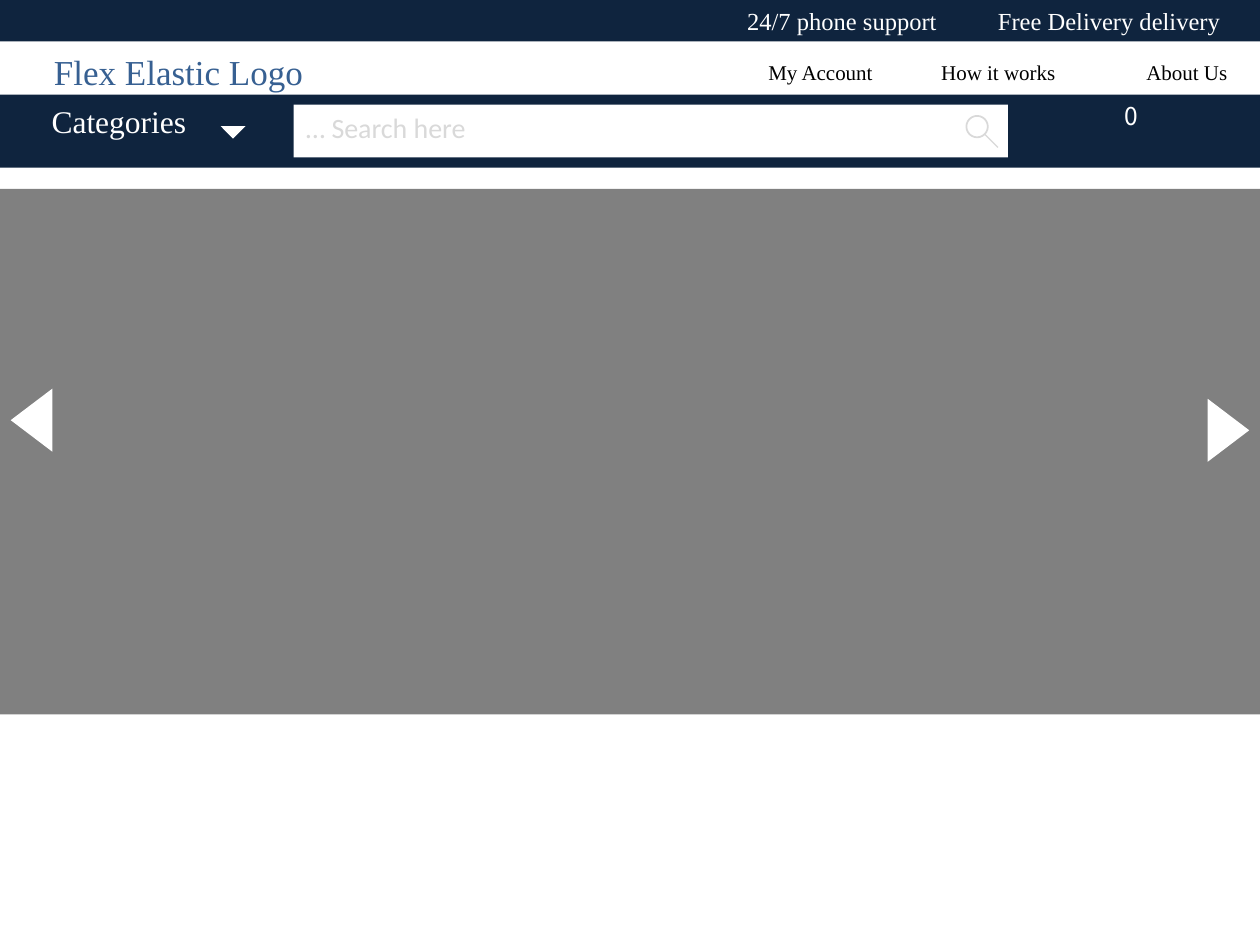
from lxml import etree
from pptx import Presentation
from pptx.dml.color import RGBColor
from pptx.enum.shapes import MSO_CONNECTOR, MSO_SHAPE
from pptx.enum.text import MSO_AUTO_SIZE
from pptx.oxml.ns import qn
from pptx.util import Inches, Pt

RECTANGLE = MSO_SHAPE.RECTANGLE
TRIANGLE = MSO_SHAPE.ISOSCELES_TRIANGLE
MERGE = MSO_SHAPE.FLOWCHART_MERGE
OVAL = MSO_SHAPE.OVAL
STRAIGHT = MSO_CONNECTOR.STRAIGHT
FIT_SHAPE = MSO_AUTO_SIZE.SHAPE_TO_FIT_TEXT

NAVY, WHITE, BLACK = "0F243E", "FFFFFF", "000000"
BLUE, GREY, PALE = "376092", "808080", "D9D9D9"
SERIF, SANS, CJK = "Times New Roman", "Calibri", "Noto Sans CJK SC"


def color(value):
    """Turn a hex string into a colour."""
    return RGBColor.from_string(value)


def add_block(shapes, kind, box, fill, rotation=0):
    """Add a filled preset shape without outline."""
    shape = shapes.add_shape(kind, *map(Inches, box))
    shape.shadow.inherit = False
    shape.fill.solid()
    shape.fill.fore_color.rgb = color(fill)
    shape.line.fill.background()
    shape.rotation = rotation
    return shape


def add_text(shapes, text, box, size, text_color, font=SERIF, inset=0.1):
    """Add a one-line text box."""
    shape = shapes.add_textbox(*map(Inches, box))
    frame = shape.text_frame
    frame_format = {"word_wrap": True, "auto_size": FIT_SHAPE,
                    "margin_left": Inches(inset)}
    for name, value in frame_format.items():
        setattr(frame, name, value)
    paragraph = frame.paragraphs[0]
    run = paragraph.add_run()
    run.text = text
    for name, value in {"name": font, "size": Pt(size)}.items():
        setattr(run.font, name, value)
    run.font.color.rgb = color(text_color)
    return paragraph


def add_support_bar(shapes, left, top, width, height):
    """Draw the top bar with its two service promises."""
    add_block(shapes, RECTANGLE, (left, top, width, height), NAVY)
    paragraph = add_text(shapes, "24/7 phone support\tFree Delivery delivery",
                         (left + 5.25, top, 4.75, 0.57), 14, WHITE, inset=0.68)
    properties = paragraph._p.get_or_add_pPr()
    tabs = etree.SubElement(properties, qn("a:tabLst"))
    etree.SubElement(tabs, qn("a:tab"), pos=str(Inches(1.99)), algn="l")


def add_menu(shapes, left, top):
    """Place the site name and the page links."""
    add_text(shapes, "Flex Elastic Logo", (left + 0.33, top, 2.67, 0.44), 20, BLUE)
    links = [("My Account", 6, 1.33, 0.1), ("How it works", 7.33, 1.33, 0.14),
             ("About Us", 9, 1, 0.1)]
    for label, offset, width, inset in links:
        add_text(shapes, label, (left + offset, top + 0.07, width, 0.3),
                 12, BLACK, inset=inset)


def add_search_icon(shapes, left, top):
    """Draw a grouped magnifying glass."""
    group = shapes.add_group_shape()
    lens = add_block(group.shapes, OVAL, (left, top, 0.17, 0.17), WHITE)
    ends = (left + 0.14, top + 0.14, left + 0.25, top + 0.25)
    handle = group.shapes.add_connector(STRAIGHT, *map(Inches, ends))
    etree.SubElement(handle._element.spPr, qn("a:effectLst"))
    for shape, width in ((lens, 1), (handle, 0.75)):
        shape.line.color.rgb = color(PALE)
        shape.line.width = Pt(width)


def add_search_bar(shapes, left, top, width, height):
    """Draw the bar with categories, search field and basket count."""
    add_block(shapes, RECTANGLE, (left, top, width, height), NAVY)
    add_block(shapes, RECTANGLE, (left + 2.33, top + 0.08, 5.67, 0.42), WHITE)
    add_text(shapes, "… Search here", (left + 2.33, top + 0.08, 2.58, 0.37),
             16, PALE, SANS)
    add_text(shapes, "Categories", (left + 0.25, top + 0.01, 2, 0.4),
             18, WHITE, inset=0.16)
    add_block(shapes, TRIANGLE, (left + 1.75, top + 0.25, 0.2, 0.1), WHITE, 180)
    add_search_icon(shapes, left + 7.67, top + 0.17)
    add_text(shapes, "0", (left + 8.83, top, 0.33, 0.34), 14, WHITE, CJK)


def add_carousel(shapes, left, top, width, height):
    """Draw the banner area with its previous and next arrows."""
    add_block(shapes, RECTANGLE, (left, top, width, height), GREY)
    arrows = [(left, top + 1.67, 90), (left + width - 0.5, top + 1.75, 270)]
    for arrow_left, arrow_top, rotation in arrows:
        add_block(shapes, MERGE, (arrow_left, arrow_top, 0.5, 0.33), WHITE, rotation)


def main():
    """Build the shop home page slide."""
    presentation = Presentation()
    presentation.slide_width = Inches(10)
    presentation.slide_height = Inches(7.5)
    slide = presentation.slides.add_slide(presentation.slide_layouts[6])
    shapes = slide.shapes
    add_search_bar(shapes, 0, 0.75, 10, 0.58)
    add_menu(shapes, 0, 0.35)
    add_support_bar(shapes, 0, 0, 10, 0.33)
    add_carousel(shapes, 0, 1.5, 10, 4.17)
    presentation.save("out.pptx")


if __name__ == "__main__":
    main()
